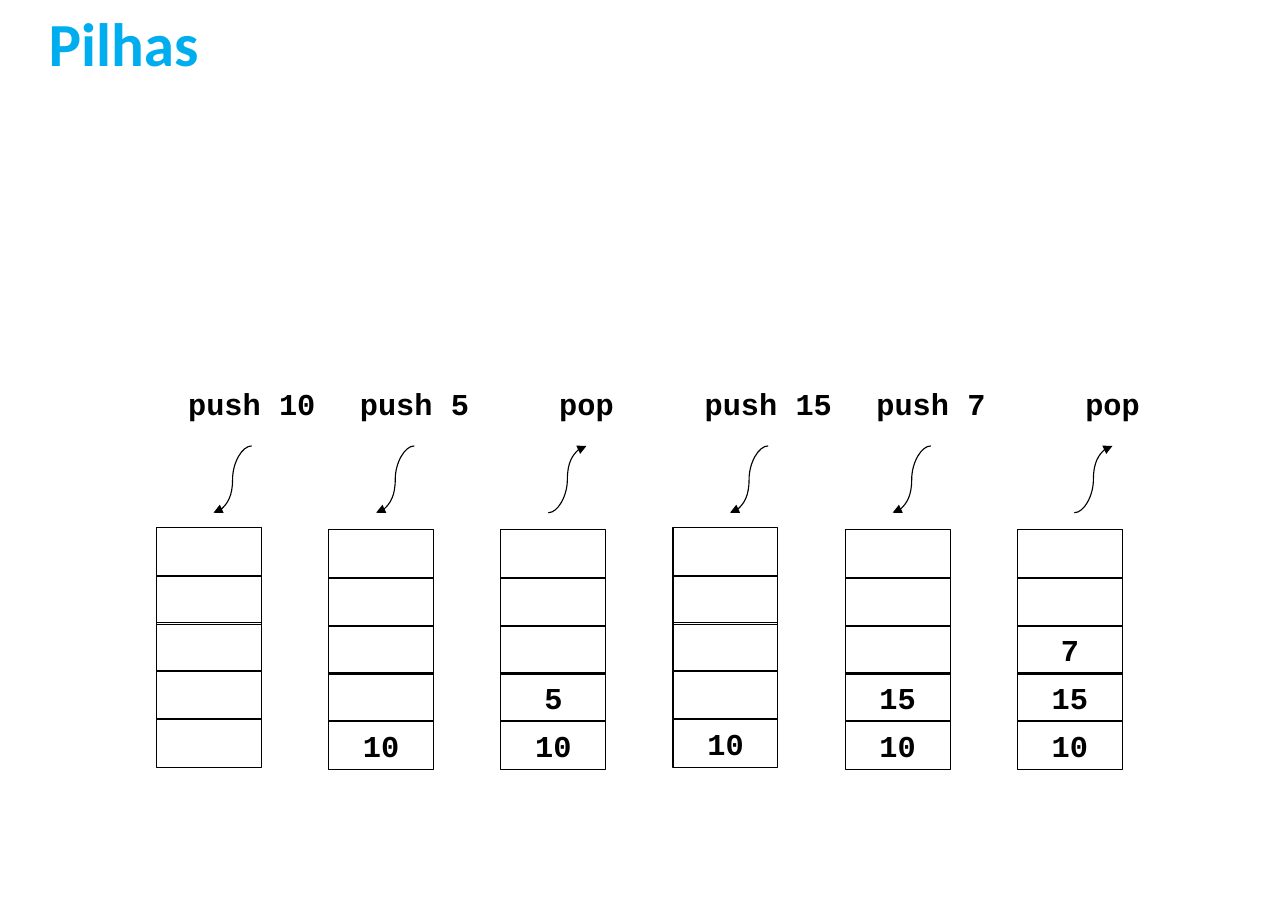
from dataclasses import dataclass

from lxml import etree
from pptx import Presentation
from pptx.dml.color import RGBColor
from pptx.enum.shapes import MSO_CONNECTOR as Connector, MSO_SHAPE as Shape
from pptx.enum.text import MSO_ANCHOR as Anchor, MSO_AUTO_SIZE as AutoSize, PP_ALIGN as Align
from pptx.oxml.ns import qn
from pptx.util import Cm, Pt


@dataclass(frozen=True)
class Theme:
    accent: RGBColor = RGBColor(0x00, 0xAE, 0xEF)
    ink: RGBColor = RGBColor(0x00, 0x00, 0x00)
    title_font: str = "Calibri"
    code_font: str = "Courier New"
    title_size: float = 40
    code_size: float = 19.8
    line_width: float = 0.75


theme = Theme()


def write(box, text, font=theme.code_font, size=theme.code_size, color=theme.ink,
          align=Align.CENTER, anchor=Anchor.TOP, fit=AutoSize.SHAPE_TO_FIT_TEXT,
          before=12.4, spacing=1.0):
    frame = box.text_frame
    frame.word_wrap = True
    frame.auto_size = fit
    frame.vertical_anchor = anchor
    frame.margin_left = frame.margin_right = Cm(0.28)
    frame.margin_top = frame.margin_bottom = Cm(0.15)
    para = frame.paragraphs[0]
    para.alignment = align
    para.space_before = Pt(before)
    para.line_spacing = spacing
    span = para.add_run()
    span.text = text
    span.font.name = font
    span.font.size = Pt(size)
    span.font.bold = True
    span.font.color.rgb = color


deck = Presentation()
deck.slide_width, deck.slide_height = Cm(29.7), Cm(21)
page = deck.slides.add_slide(deck.slide_layouts[5])

# Title
title = page.shapes.title
title.left, title.top, title.width, title.height = Cm(0.84), Cm(0), Cm(23.85), Cm(1.98)
write(title, "Pilhas", font=theme.title_font, size=theme.title_size, color=theme.accent,
      align=Align.LEFT, anchor=Anchor.BOTTOM, fit=AutoSize.NONE, before=0, spacing=0.9)

# Stack states: operation, contents from the bottom up, top edge, label offset
states = [
    ("push 10", [], 12.16, 0.43),
    ("push 5", ["10"], 12.21, 0.21),
    ("pop", ["10", "5"], 12.21, 0.21),
    ("push 15", ["10"], 12.16, 0.43),
    ("push 7", ["10", "15"], 12.21, 0.21),
    ("pop", ["10", "15", "7"], 12.21, 0.43),
]
slots = 5
first_left, stack_pitch = 3.61, 3.97
cell_width, cell_height, cell_pitch = 2.42, 1.13, 1.1
label_top, label_width = 8.74, 3.53
arrow_top, arrow_bottom, arrow_width = 10.28, 11.82, 0.88

for column, (operation, contents, top, offset) in enumerate(states):
    left = first_left + column * stack_pitch

    # Cells, with the free ones on top
    values = [""] * (slots - len(contents)) + contents[::-1]
    for row, value in enumerate(values):
        cell = page.shapes.add_shape(Shape.RECTANGLE, Cm(left), Cm(top + row * cell_pitch),
                                     Cm(cell_width), Cm(cell_height))
        cell.shadow.inherit = False
        cell.fill.background()
        cell.line.color.rgb = theme.ink
        cell.line.width = Pt(theme.line_width)
        if value:
            write(cell, value)

    # Operation label
    label_left = left + offset
    label = page.shapes.add_textbox(Cm(label_left), Cm(label_top),
                                    Cm(label_width), Cm(cell_height))
    write(label, operation)

    # Curved arrow: into the stack for push, out of it for pop
    middle = label_left + label_width / 2
    arrow = page.shapes.add_connector(Connector.CURVE, Cm(middle), Cm(arrow_top),
                                      Cm(middle - arrow_width), Cm(arrow_bottom))
    arrow.line.color.rgb = theme.ink
    arrow.line.width = Pt(theme.line_width)
    end = "a:headEnd" if operation == "pop" else "a:tailEnd"
    etree.SubElement(arrow.line._get_or_add_ln(), qn(end), type="triangle")
    etree.SubElement(arrow._element.spPr, qn("a:effectLst"))

deck.save("out.pptx")
